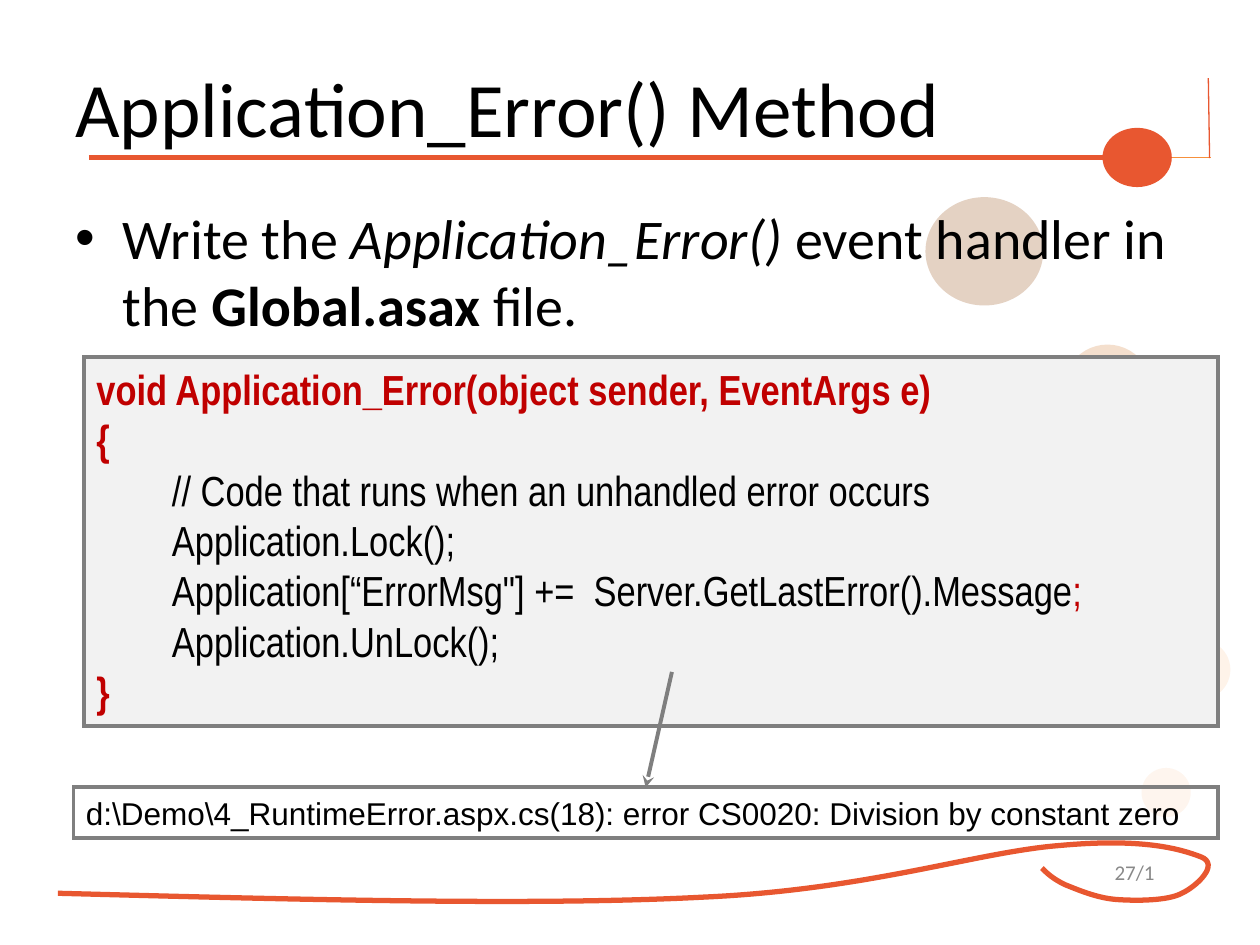
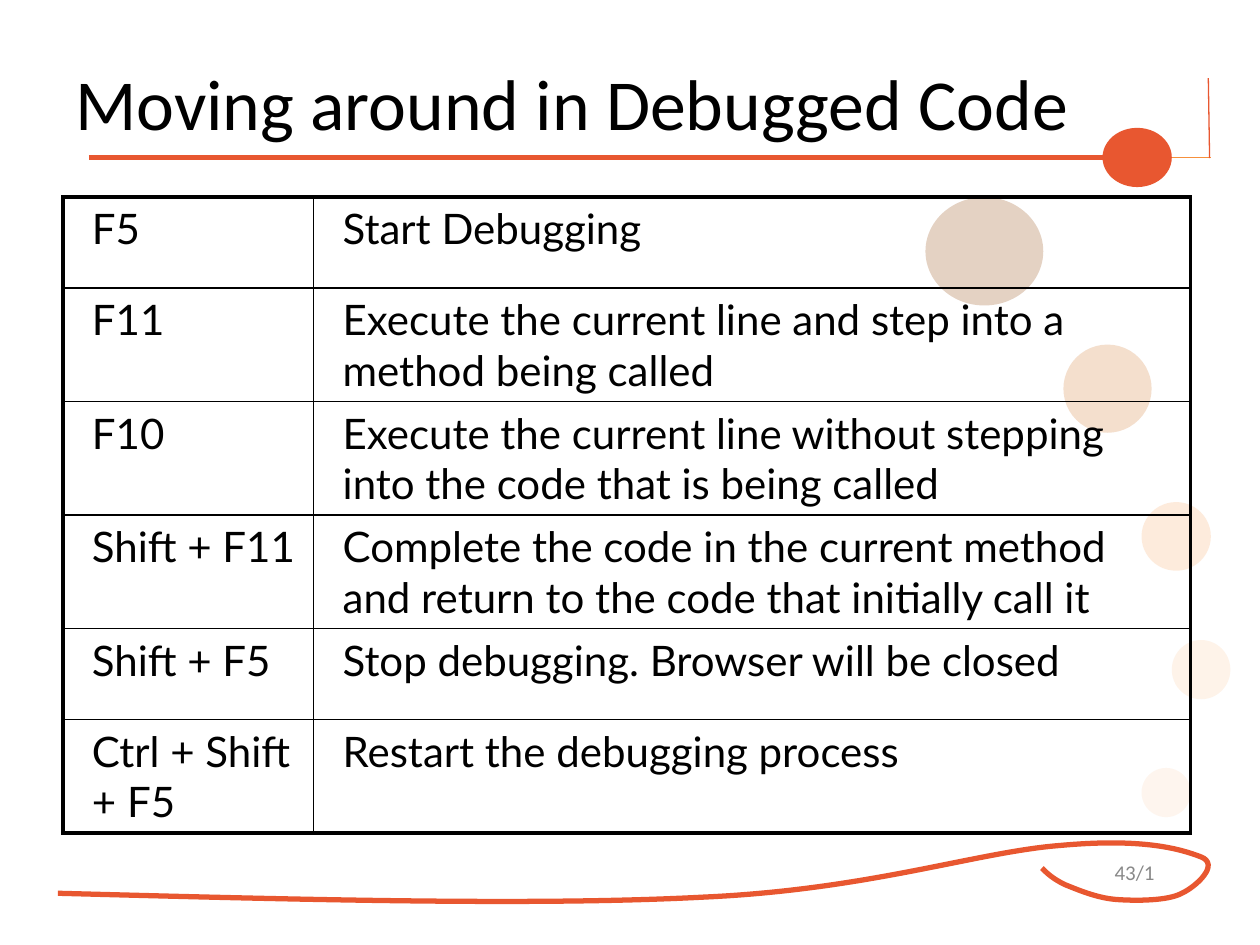
from dataclasses import dataclass
from typing import Optional

from lxml.etree import SubElement
from pptx import Presentation
from pptx.dml.color import RGBColor
from pptx.enum.shapes import MSO_CONNECTOR, MSO_SHAPE
from pptx.enum.text import MSO_ANCHOR, MSO_AUTO_SIZE, PP_ALIGN
from pptx.oxml.ns import qn
from pptx.util import Emu, Inches, Pt

SLIDE_WIDTH, SLIDE_HEIGHT = Inches(10), Inches(7.5)
COLUMNS, ROWS = 100, 75

COLORS = {
    "accent": "E85730",
    "accent_light": "F6903C",
    "text": "000000",
    "number": "898989",
    "frame": "7F7F7F",
    "code_fill": "F2F2F2",
    "keyword": "C00000",
}


@dataclass(frozen=True)
class Box:
    """An area in grid columns and rows."""
    column: float
    row: float
    width: float
    height: float

    def place(self) -> tuple[Emu, Emu, Emu, Emu]:
        return (across(self.column), down(self.row),
                across(self.width), down(self.height))


@dataclass(frozen=True)
class Bubble:
    box: Box
    color: str
    opacity: int = 100


@dataclass(frozen=True)
class Rule:
    start: tuple[float, float]
    end: tuple[float, float]
    color: str
    points: float
    arrow: bool = False


@dataclass(frozen=True)
class Span:
    text: str
    color: str = COLORS["text"]
    bold: bool = False
    italic: bool = False


@dataclass(frozen=True)
class Line:
    spans: tuple[Span, ...]
    indent: float = 0
    bullet: Optional[str] = None


@dataclass(frozen=True)
class Style:
    font: str
    size: float
    align: PP_ALIGN = PP_ALIGN.LEFT
    anchor: MSO_ANCHOR = MSO_ANCHOR.TOP


TITLE = Style("Calibri", 44, anchor=MSO_ANCHOR.MIDDLE)
LONG_TITLE = Style("Calibri", 41, anchor=MSO_ANCHOR.MIDDLE)
BODY = Style("Calibri", 32)
CODE = Style("Arial Narrow", 24)
MESSAGE = Style("Arial", 18)
KEYS = Style("Lato", 24)
NUMBER = Style("Calibri", 12, PP_ALIGN.CENTER, MSO_ANCHOR.MIDDLE)

BUBBLES = (
    Bubble(Box(73.45, 15.65, 9.35, 8.6), "904406", 24),
    Bubble(Box(84.4, 27.35, 7, 7), "C85F08", 20),
    Bubble(Box(93, 50.8, 4.65, 4.7), "F67B16", 9),
    Bubble(Box(90.6, 60.95, 3.9, 3.9), "F59545", 9),
    Bubble(Box(87.5, 10.15, 5.5, 4.7), COLORS["accent"]),
)
MIDDLE_BUBBLE = Bubble(Box(90.6, 39.85, 5.5, 5.45), "F57B17", 15)

TITLE_RULES = (
    Rule((7.05, 12.5), (87.5, 12.5), COLORS["accent"], 3),
    Rule((93, 12.5), (96.1, 12.5), COLORS["accent_light"], 0.75),
    Rule((96, 12.55), (95.9, 6.2), COLORS["accent"], 0.75),
)

# Bezier knots: a start point, then two handles and an end point per curve.
SWIRL = (
    (4.6, 70.9),
    (23.6, 71.4), (42.6, 71.9), (55.9, 71.2),
    (69.1, 70.6), (77.6, 67.6), (84.2, 67.1),
    (90.8, 66.5), (93.7, 67.4), (95.3, 68),
    (96.9, 68.6), (94.9, 70.4), (93.8, 70.9),
    (92.7, 71.5), (90.2, 71.5), (88.7, 71.4),
    (87.1, 71.3), (85.5, 70.6), (84.5, 70.2),
    (83.5, 69.7), (83.1, 69.3), (82.7, 68.9),
)

SHORTCUTS = (
    ("F5", "Start Debugging"),
    ("F11", "Execute the current line and step into a method being called"),
    ("F10", "Execute the current line without stepping into the code that is being called"),
    ("Shift + F11", "Complete the code in the current method and return to the code "
                    "that initially call it"),
    ("Shift + F5", "Stop debugging. Browser will be closed"),
    ("Ctrl + Shift + F5", "Restart the debugging process"),
)
KEY_WIDTH, ACTION_WIDTH = 19.9, 69.6
SHORT_ROW, TALL_ROW = 7.22, 9
ROW_HEIGHTS = (SHORT_ROW, TALL_ROW, TALL_ROW, TALL_ROW, SHORT_ROW, TALL_ROW)


def across(columns: float) -> Emu:
    return Emu(round(SLIDE_WIDTH * columns / COLUMNS))


def down(rows: float) -> Emu:
    return Emu(round(SLIDE_HEIGHT * rows / ROWS))


def rgb(color: str) -> RGBColor:
    return RGBColor.from_string(color)


def plain(text: str, color: str = COLORS["text"], indent: float = 0) -> Line:
    return Line((Span(text, color),), indent)


def write(frame, lines: tuple[Line, ...], style: Style) -> None:
    frame.word_wrap = True
    for index, line in enumerate(lines):
        paragraph = frame.paragraphs[0] if index == 0 else frame.add_paragraph()
        paragraph.alignment = style.align
        properties = paragraph._p.get_or_add_pPr()
        properties.set("marL", str(across(line.indent)))
        properties.set("indent", str(-across(line.indent) if line.bullet else 0))
        if line.bullet:
            SubElement(properties, qn("a:buFont"), typeface="Arial")
            SubElement(properties, qn("a:buChar"), char=line.bullet)
        for span in line.spans:
            run = paragraph.add_run()
            run.text = span.text
            run.font.name = style.font
            run.font.size = Pt(style.size)
            run.font.bold = span.bold
            run.font.italic = span.italic
            run.font.color.rgb = rgb(span.color)


def add_text(slide, box: Box, lines: tuple[Line, ...], style: Style) -> None:
    frame = slide.shapes.add_textbox(*box.place()).text_frame
    frame.vertical_anchor = style.anchor
    write(frame, lines, style)


def add_framed_text(slide, box: Box, lines: tuple[Line, ...], style: Style,
                    fill: Optional[str] = None) -> None:
    shape = slide.shapes.add_shape(MSO_SHAPE.RECTANGLE, *box.place())
    shape.shadow.inherit = False
    if fill:
        shape.fill.solid()
        shape.fill.fore_color.rgb = rgb(fill)
    else:
        shape.fill.background()
    shape.line.color.rgb = rgb(COLORS["frame"])
    shape.line.width = Pt(2.25)
    SubElement(shape.element.spPr.find(qn("a:ln")), qn("a:miter"), lim="800000")
    shape.text_frame.vertical_anchor = style.anchor
    write(shape.text_frame, lines, style)
    shape.text_frame.auto_size = MSO_AUTO_SIZE.SHAPE_TO_FIT_TEXT


def add_bubble(slide, bubble: Bubble) -> None:
    shape = slide.shapes.add_shape(MSO_SHAPE.OVAL, *bubble.box.place())
    shape.shadow.inherit = False
    shape.fill.solid()
    shape.fill.fore_color.rgb = rgb(bubble.color)
    shape.line.fill.background()
    if bubble.opacity < 100:
        for color in shape.element.spPr.iter(qn("a:srgbClr")):
            SubElement(color, qn("a:alpha"), val=str(bubble.opacity * 1000))


def add_rule(slide, rule: Rule) -> None:
    (left, top), (right, bottom) = rule.start, rule.end
    connector = slide.shapes.add_connector(
        MSO_CONNECTOR.STRAIGHT, across(left), down(top), across(right), down(bottom))
    connector.line.color.rgb = rgb(rule.color)
    connector.line.width = Pt(rule.points)
    properties = connector.element.spPr
    if rule.arrow:
        SubElement(properties.find(qn("a:ln")), qn("a:tailEnd"), type="stealth")
    SubElement(properties, qn("a:effectLst"))


def bend_segments(shape) -> None:
    """Join every three straight segments into one cubic Bezier curve."""
    segments = list(shape.element.spPr.iter(qn("a:lnTo")))
    outline = segments[0].getparent()
    for first in range(0, len(segments), 3):
        curve = SubElement(outline, qn("a:cubicBezTo"))
        for segment in segments[first:first + 3]:
            curve.append(segment[0])
            outline.remove(segment)


def add_swirl(slide) -> None:
    start, *knots = [(across(column), down(row)) for column, row in SWIRL]
    builder = slide.shapes.build_freeform(*start)
    builder.add_line_segments(knots, close=False)
    swirl = builder.convert_to_shape()
    bend_segments(swirl)
    swirl.shadow.inherit = False
    swirl.fill.background()
    swirl.line.color.rgb = rgb(COLORS["accent"])
    swirl.line.width = Pt(3)


def add_base_slide(presentation, number: str, bubbles: tuple[Bubble, ...]):
    """Blank slide with the shared decoration and its slide number."""
    slide = presentation.slides.add_slide(presentation.slide_layouts[6])
    add_text(slide, Box(86.7, 67.2, 6.7, 4), (plain(number, COLORS["number"]),), NUMBER)
    add_swirl(slide)
    for bubble in bubbles:
        add_bubble(slide, bubble)
    for rule in TITLE_RULES:
        add_rule(slide, rule)
    return slide


def set_borders(cell, widths: dict[str, float]) -> None:
    properties = cell._tc.get_or_add_tcPr()
    for side, points in widths.items():
        border = SubElement(properties, qn(f"a:ln{side}"), w=str(Pt(points)))
        fill = SubElement(border, qn("a:solidFill"))
        SubElement(fill, qn("a:srgbClr"), val=COLORS["text"])


def add_shortcut_table(slide) -> None:
    box = Box(5, 15.65, KEY_WIDTH + ACTION_WIDTH, sum(ROW_HEIGHTS))
    last_row, last_column = len(SHORTCUTS) - 1, 1
    table = slide.shapes.add_table(last_row + 1, last_column + 1, *box.place()).table
    table.first_row = table.horz_banding = False
    for column, width in zip(table.columns, (KEY_WIDTH, ACTION_WIDTH)):
        column.width = across(width)
    for row, height in zip(table.rows, ROW_HEIGHTS):
        row.height = down(height)
    for row_index, texts in enumerate(SHORTCUTS):
        for column_index, text in enumerate(texts):
            cell = table.cell(row_index, column_index)
            outer = {"L": column_index == 0, "R": column_index == last_column,
                     "T": row_index == 0, "B": row_index == last_row}
            set_borders(cell, {side: 2.25 if edge else 1 for side, edge in outer.items()})
            cell.fill.background()
            write(cell.text_frame, (plain(text, indent=1.3),), KEYS)


def add_error_method_slide(presentation) -> None:
    slide = add_base_slide(presentation, "27/1", BUBBLES)
    add_text(slide, Box(5, 1.65, 90, 13.7), (plain("Application_Error() Method"),), TITLE)
    add_text(slide, Box(5, 15.65, 89.5, 49.2), (Line((
        Span("Write the "), Span("Application_Error() ", italic=True),
        Span("event handler in the "), Span("Global.asax", bold=True), Span(" file."),
    ), indent=3.75, bullet="•"),), BODY)

    signature, opening, closing = (
        Line((Span(text, COLORS["keyword"], bold=True),))
        for text in ("void Application_Error(object sender, EventArgs e)", "{", "}"))
    comment, lock, unlock = (
        plain(text, indent=6)
        for text in ("// Code that runs when an unhandled error occurs",
                     "Application.Lock();", "Application.UnLock();"))
    store = Line((Span("Application[“ErrorMsg\"] +=  Server.GetLastError().Message"),
                  Span(";", COLORS["keyword"])), indent=6)
    add_framed_text(slide, Box(6.67, 28.35, 90, 29.3),
                    (signature, opening, comment, lock, store, unlock, closing),
                    CODE, COLORS["code_fill"])
    add_framed_text(slide, Box(5.83, 62.5, 90.83, 4), (plain(
        "d:\\Demo\\4_RuntimeError.aspx.cs(18): error CS0020: Division by constant zero"),),
        MESSAGE)
    add_rule(slide, Rule((53.33, 53.33), (51.25, 62.5), COLORS["frame"], 2.25, arrow=True))


def add_shortcuts_slide(presentation) -> None:
    slide = add_base_slide(presentation, "43/1", (*BUBBLES, MIDDLE_BUBBLE))
    add_text(slide, Box(5, 2, 90.8, 12.2), (plain("Moving around in Debugged Code"),),
             LONG_TITLE)
    add_shortcut_table(slide)


def main() -> None:
    presentation = Presentation()
    presentation.slide_width, presentation.slide_height = SLIDE_WIDTH, SLIDE_HEIGHT
    add_error_method_slide(presentation)
    add_shortcuts_slide(presentation)
    presentation.save("out.pptx")


if __name__ == "__main__":
    main()
